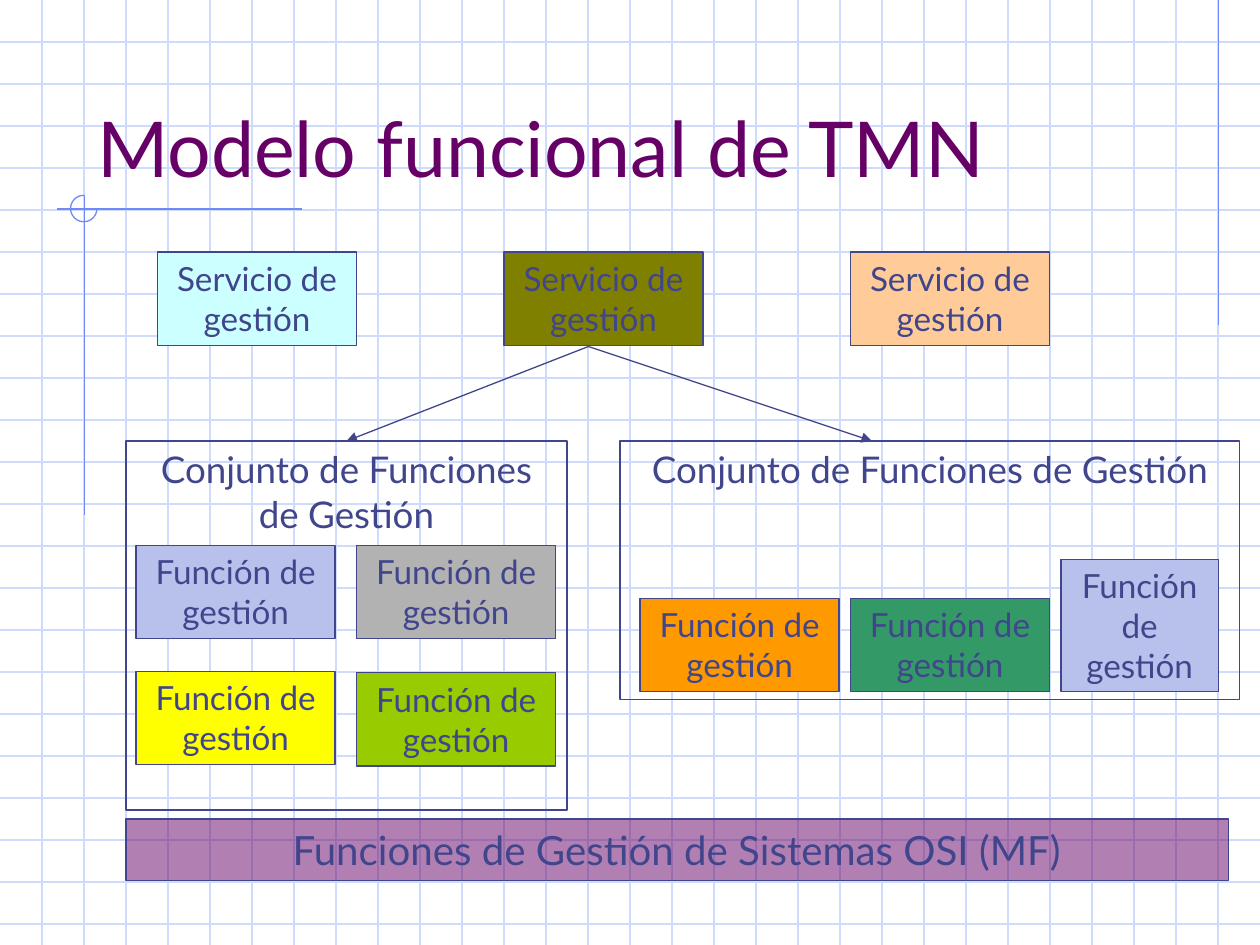
from pptx import Presentation
from pptx.util import Inches, Pt
from pptx.dml.color import RGBColor
from pptx.enum.shapes import MSO_SHAPE as SHAPE, MSO_CONNECTOR as CONN
from pptx.enum.text import MSO_ANCHOR as ANCHOR, MSO_AUTO_SIZE as AUTO, PP_ALIGN as ALIGN
from pptx.oxml.ns import qn
from lxml.etree import SubElement


def color(value):
    return RGBColor.from_string(value)


class Deck:
    font = "Lato"
    ink = "40458C"
    accent = "6F89F7"
    grid_color = "CFDBFD"
    title_color = "660066"

    def __init__(self, width, height):
        self.prs = Presentation()
        self.width, self.height = width, height
        self.prs.slide_width = Inches(width)
        self.prs.slide_height = Inches(height)

    def slide(self):
        self.s = self.prs.slides.add_slide(self.prs.slide_layouts[5])
        bg = self.s.background.fill
        bg.solid()
        bg.fore_color.rgb = color("FFFFFF")

    def run(self, p, text, size, ink):
        r = p.add_run()
        r.text = text
        r.font.name = self.font
        r.font.size = Pt(size)
        r.font.color.rgb = color(ink)

    def margins(self, tf):
        tf.word_wrap = True
        tf.margin_left = tf.margin_right = Inches(0.1)
        tf.margin_top = tf.margin_bottom = Inches(0.05)

    def outline(self, sp, ink):
        sp.line.color.rgb = color(ink)
        sp.line.width = Pt(0.75)

    def title(self, text, x, y, w, h):
        sp = self.s.shapes.title
        sp.left, sp.top, sp.width, sp.height = map(Inches, (x, y, w, h))
        sp.element.getparent().append(sp.element)
        tf = sp.text_frame
        self.margins(tf)
        tf.auto_size = AUTO.NONE
        tf.vertical_anchor = ANCHOR.BOTTOM
        p = tf.paragraphs[0]
        p.alignment = ALIGN.LEFT
        self.run(p, text, 44, self.title_color)

    def line(self, x1, y1, x2, y2, ink, arrow=False):
        c = self.s.shapes.add_connector(CONN.STRAIGHT, *map(Inches, (x1, y1, x2, y2)))
        self.outline(c, ink)
        if arrow:
            SubElement(c.line._get_or_add_ln(), qn("a:tailEnd"), type="triangle")
        SubElement(c.element.spPr, qn("a:effectLst"))

    def arc(self, x, y, size, start, end):
        sp = self.s.shapes.add_shape(SHAPE.ARC, *map(Inches, (x, y, size, size)))
        sp.shadow.inherit = False
        sp.adjustments[0] = start * 0.6
        sp.adjustments[1] = end * 0.6
        sp.fill.background()
        self.outline(sp, self.accent)

    def box(self, text, x, y, w, h, fill=None, size=19, alpha=None):
        sp = self.s.shapes.add_shape(SHAPE.RECTANGLE, *map(Inches, (x, y, w, h)))
        sp.shadow.inherit = False
        if fill:
            sp.fill.solid()
            sp.fill.fore_color.rgb = color(fill)
        else:
            sp.fill.background()
        if alpha:
            clr = sp.element.spPr.find(qn("a:solidFill"))[0]
            SubElement(clr, qn("a:alpha"), val=str(alpha * 1000))
        self.outline(sp, self.ink)
        tf = sp.text_frame
        self.margins(tf)
        tf.auto_size = AUTO.SHAPE_TO_FIT_TEXT
        tf.vertical_anchor = ANCHOR.TOP
        p = tf.paragraphs[0]
        p.alignment = ALIGN.CENTER
        self.run(p, text, size, self.ink)

    def grid(self, step):
        for i in range(1, int(self.height / step) + 1):
            self.line(0, i * step, self.width, i * step, self.grid_color)
        for i in range(1, round(self.width / step)):
            self.line(i * step, 0, i * step, self.height, self.grid_color)

    def save(self):
        self.prs.save("out.pptx")


def main():
    deck = Deck(10, 7.5)
    deck.slide()
    deck.grid(1 / 3)
    for ends in ((9.67, 0, 9.67, 2.58), (2.4, 1.66, 0.45, 1.66), (0.67, 1.55, 0.67, 4.09)):
        deck.line(*ends, deck.accent)
    deck.arc(0.56, 1.55, 0.21, 0, 270)
    deck.title("Modelo funcional de TMN", 0.67, 0.33, 8.5, 1.25)

    w, h = 1.58, 0.74
    for i, fill in enumerate(("CCFFFF", "808000", "FFCC99")):
        deck.box("Servicio de gestión", 1.25 + 2.75 * i, 2, w, h, fill)

    functions = (
        (1.08, 4.33, w, h, "B7C1EB"),
        (2.83, 4.33, w, h, "B2B2B2"),
        (2.83, 5.34, w, h, "99CC00"),
        (1.08, 5.33, w, h, "FFFF00"),
        (5.08, 4.75, w, h, "FF9900"),
        (6.75, 4.75, w, h, "339966"),
        (8.42, 4.44, 1.25, 1.05, "B7C1EB"),
    )
    for x, width, height in ((1, 3.5, 2.93), (4.92, 4.92, 2.05)):
        deck.box("Conjunto de Funciones de Gestión", x, 3.5, width, height, size=21)
    for function in functions:
        deck.box("Función de gestión", *function)

    for x in (2.75, 6.92):
        deck.line(4.67, 2.75, x, 3.5, deck.ink, arrow=True)
    deck.box("Funciones de Gestión de Sistemas OSI (MF)", 1, 6.5, 8.75, 0.49,
             "660066", size=23, alpha=50)
    deck.save()


if __name__ == "__main__":
    main()
